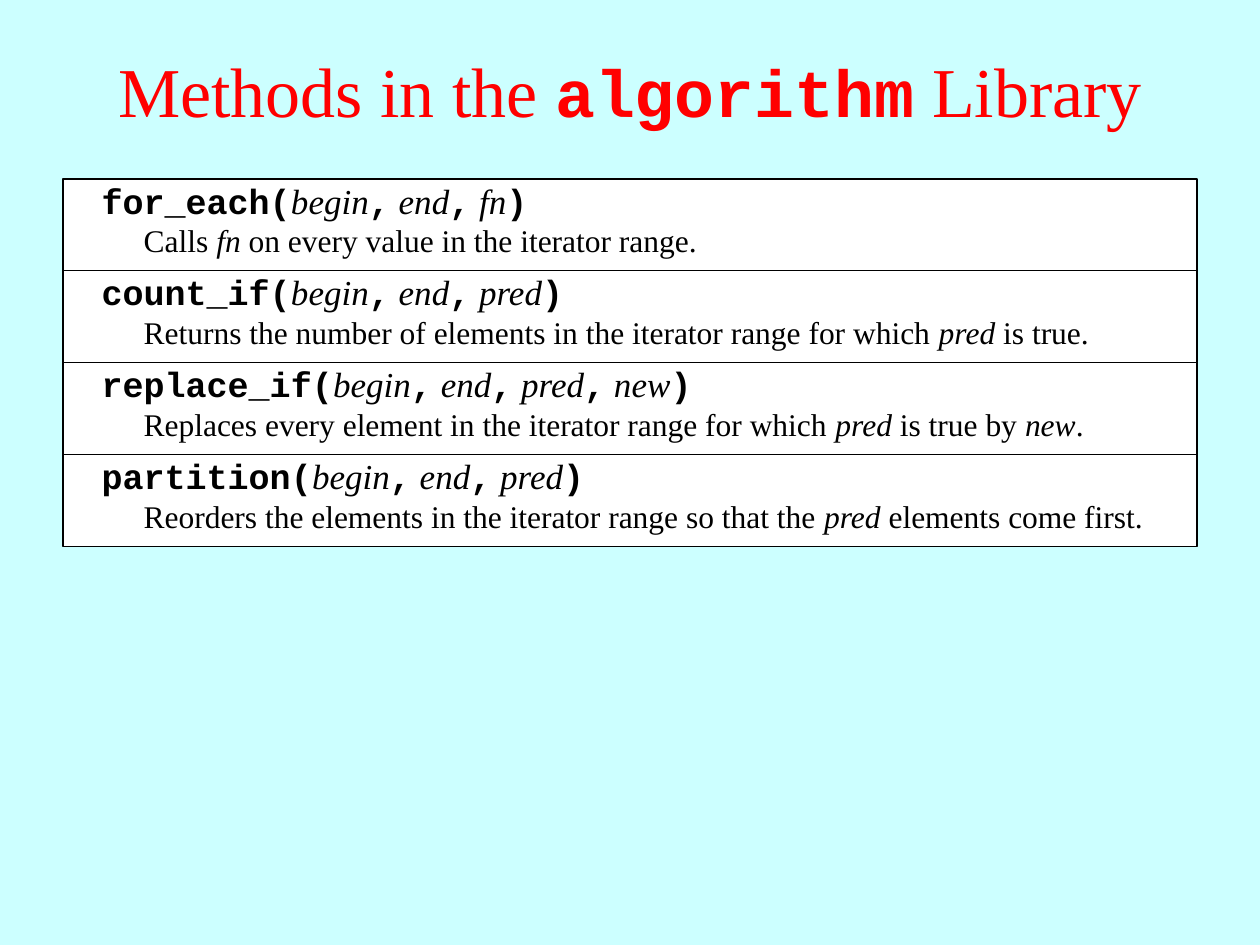
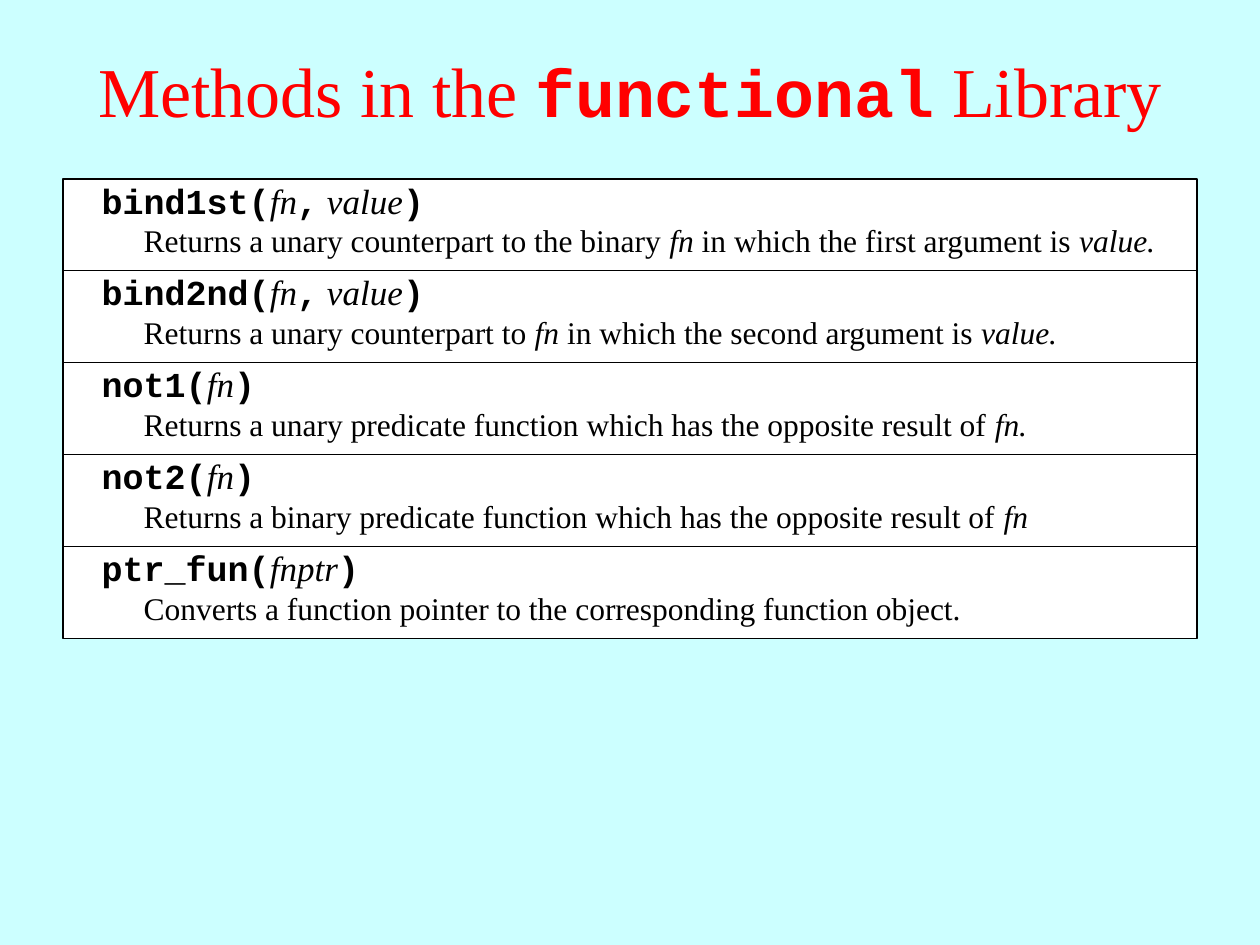
from lxml.etree import SubElement
from pptx import Presentation
from pptx.dml.color import RGBColor
from pptx.enum.shapes import MSO_CONNECTOR as CONNECTOR, MSO_SHAPE as SHAPE
from pptx.enum.text import MSO_ANCHOR as ANCHOR, MSO_AUTO_SIZE as AUTO_SIZE, PP_ALIGN as ALIGN
from pptx.oxml.ns import qn
from pptx.util import Pt

# Shared colours, text formats and geometry
BACKGROUND = RGBColor(0xCC, 0xFF, 0xFF)
RED = RGBColor(0xFF, 0x00, 0x00)
BLACK = RGBColor(0x00, 0x00, 0x00)
WHITE = RGBColor(0xFF, 0xFF, 0xFF)

SERIF, MONO = "Times New Roman", "Courier New"
TITLE = dict(name=SERIF, size=Pt(40), bold=False, color=RED)
TITLE_CODE = dict(name=MONO, size=Pt(38), bold=True, color=RED)
CODE = dict(name=MONO, size=Pt(20), bold=True, color=BLACK)
ARGUMENT = dict(name=SERIF, size=Pt(20), italic=True, color=BLACK)
BODY = dict(name=SERIF, size=Pt(18), color=BLACK)
BODY_ITALIC = dict(BODY, italic=True)

LEFT, TOP, WIDTH, ROW = 36, 102.25, 648, 52.5

# Library name, then method, arguments and description (*...* is italic)
LIBRARIES = [
    ("algorithm", [
        ("for_each", ["begin", "end", "fn"],
         "Calls *fn* on every value in the iterator range."),
        ("count_if", ["begin", "end", "pred"],
         "Returns the number of elements in the iterator range for which *pred* is true."),
        ("replace_if", ["begin", "end", "pred", "new"],
         "Replaces every element in the iterator range for which *pred* is true by *new*."),
        ("partition", ["begin", "end", "pred"],
         "Reorders the elements in the iterator range so that the *pred* elements come first."),
    ]),
    ("functional", [
        ("bind1st", ["fn", "value"],
         "Returns a unary counterpart to the binary *fn* in which the first argument is *value.*"),
        ("bind2nd", ["fn", "value"],
         "Returns a unary counterpart to *fn* in which the second argument is *value.*"),
        ("not1", ["fn"],
         "Returns a unary predicate function which has the opposite result of *fn.*"),
        ("not2", ["fn"],
         "Returns a binary predicate function which has the opposite result of *fn*"),
        ("ptr_fun", ["fnptr"],
         "Converts a function pointer to the corresponding function object."),
    ]),
]


def add_runs(p, runs):
    for text, fmt in runs:
        r = p.add_run()
        r.text = text
        for key, value in fmt.items():
            if key == "color":
                r.font.color.rgb = value
            else:
                setattr(r.font, key, value)


def add_text(s, left, top, width, height, runs):
    tf = s.shapes.add_textbox(Pt(left), Pt(top), Pt(width), Pt(height)).text_frame
    tf.word_wrap = True
    add_runs(tf.paragraphs[0], runs)


prs = Presentation()
prs.slide_width, prs.slide_height = Pt(720), Pt(540)
fill = prs.slide_master.background.fill
fill.solid()
fill.fore_color.rgb = BACKGROUND

for library, methods in LIBRARIES:
    s = prs.slides.add_slide(prs.slide_layouts[5])

    # Title
    title = s.shapes.title
    title.left, title.top, title.width, title.height = Pt(0), Pt(6), Pt(720), Pt(90)
    tf = title.text_frame
    tf.auto_size = AUTO_SIZE.NONE
    tf.vertical_anchor = ANCHOR.MIDDLE
    p = tf.paragraphs[0]
    p.alignment = ALIGN.CENTER
    add_runs(p, [("Methods in the ", TITLE), (library, TITLE_CODE), (" Library", TITLE)])

    # White panel
    panel = s.shapes.add_shape(SHAPE.RECTANGLE, Pt(LEFT), Pt(TOP),
                               Pt(WIDTH), Pt(ROW * len(methods)))
    panel.shadow.inherit = False
    panel.fill.solid()
    panel.fill.fore_color.rgb = WHITE
    panel.line.color.rgb = BLACK
    panel.line.width = Pt(0.75)

    # Dividers between the rows
    for i in range(1, len(methods)):
        y = Pt(TOP + i * ROW)
        divider = s.shapes.add_connector(CONNECTOR.STRAIGHT, Pt(LEFT), y, Pt(LEFT + WIDTH), y)
        divider.line.color.rgb = BLACK
        divider.line.width = Pt(0.75)
        SubElement(divider._element.spPr, qn("a:effectLst"))

    # Signature and description of each method
    for i, (method, arguments, description) in enumerate(methods):
        y = TOP + i * ROW
        signature = [(method + "(", CODE), (arguments[0], ARGUMENT)]
        for argument in arguments[1:]:
            signature += [(",", CODE), (" " + argument, ARGUMENT)]
        signature.append((")", CODE))
        add_text(s, 51, y - 3.5, 618, 31, signature)

        parts = enumerate(description.split("*"))
        add_text(s, 75, y + 20.75, 600, 29,
                 [(text, BODY_ITALIC if n % 2 else BODY) for n, text in parts if text])

prs.save("out.pptx")
